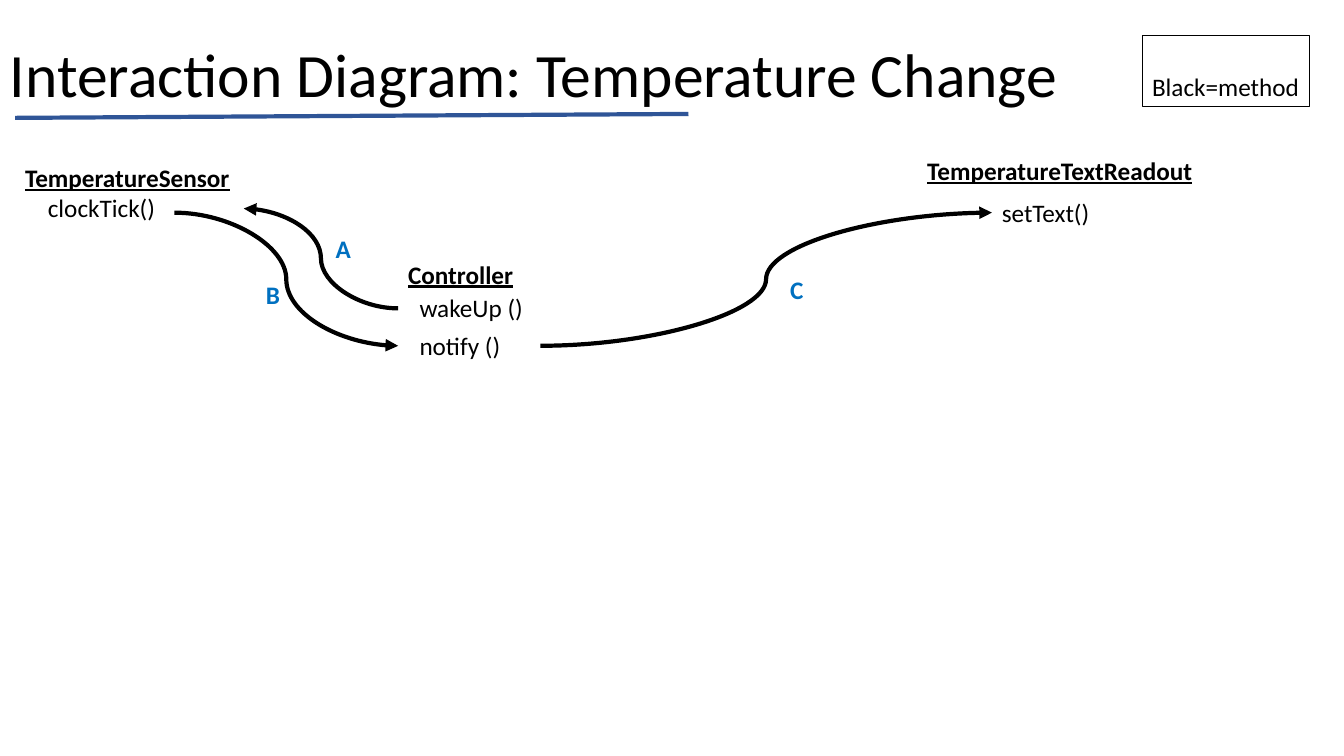
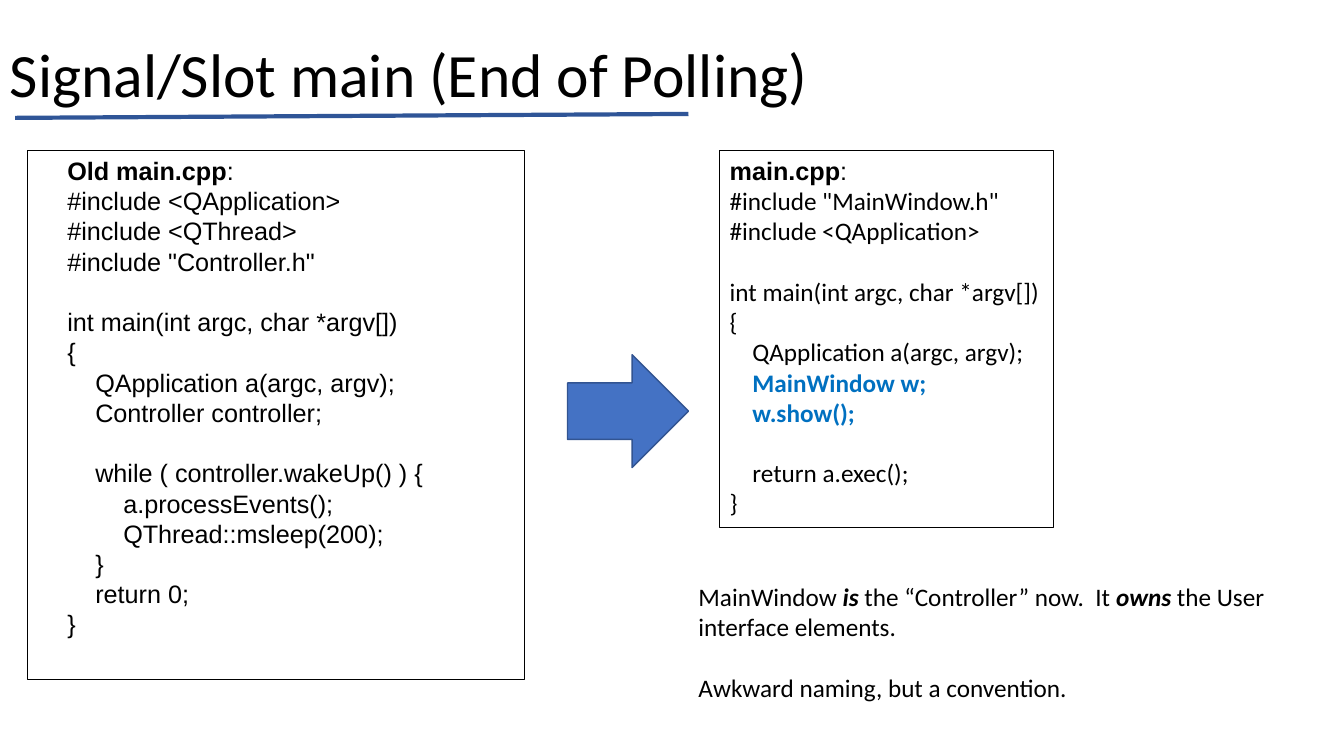
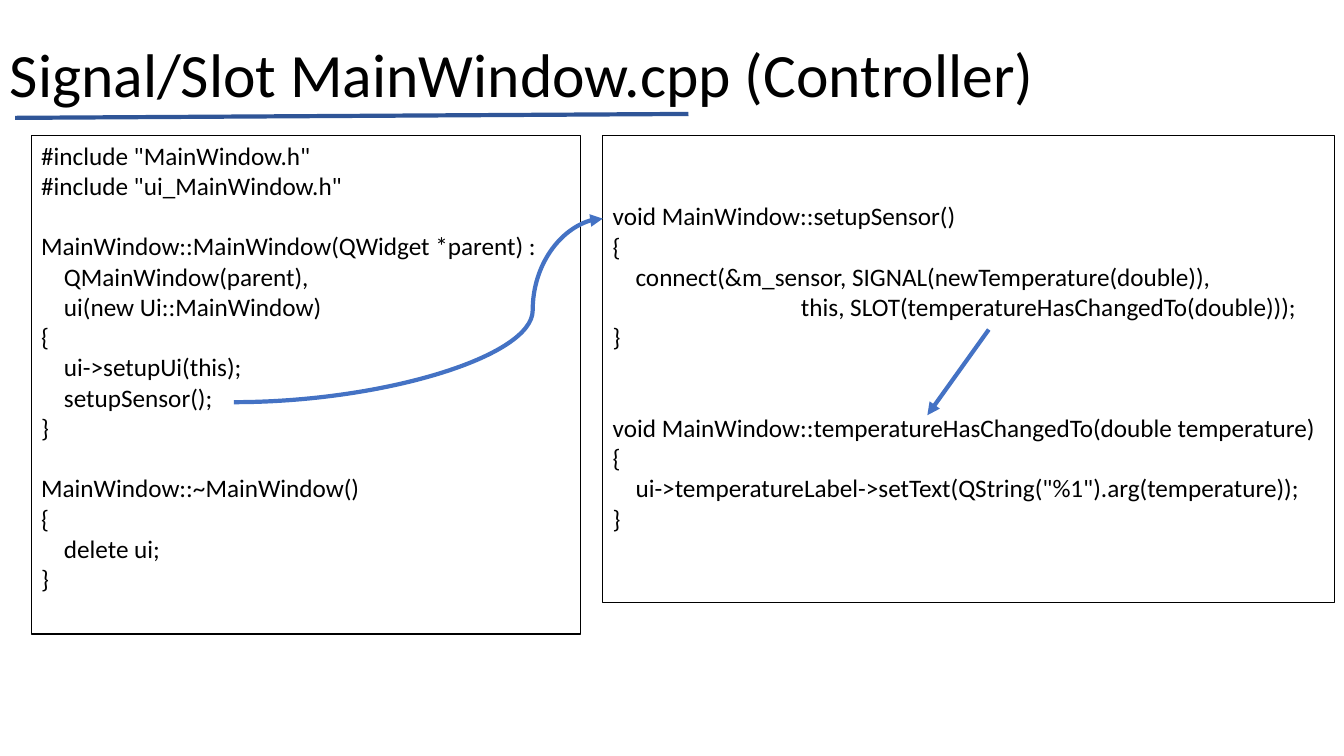
"""Builds three slides on moving a Qt program from polling to signals and slots."""

from dataclasses import dataclass

from lxml import etree
from pptx import Presentation
from pptx.dml.color import RGBColor
from pptx.enum.shapes import MSO_CONNECTOR, MSO_SHAPE
from pptx.enum.text import MSO_ANCHOR, PP_ALIGN
from pptx.oxml.ns import qn
from pptx.util import Pt

STRAIGHT = MSO_CONNECTOR.STRAIGHT
CURVE = MSO_CONNECTOR.CURVE
RECTANGLE = MSO_SHAPE.RECTANGLE
RIGHT_ARROW = MSO_SHAPE.RIGHT_ARROW
TOP, MIDDLE, BOTTOM = MSO_ANCHOR.TOP, MSO_ANCHOR.MIDDLE, MSO_ANCHOR.BOTTOM
LEFT = PP_ALIGN.LEFT


@dataclass(frozen=True)
class Theme:
    ink: str = "000000"
    highlight: str = "0070C0"
    rule: str = "2F5597"
    accent: str = "4472C4"
    accent_edge: str = "325491"
    font: str = "Calibri"
    old_font: str = "Arial"
    title_size: float = 44
    body_size: float = 18
    line_height: float = 21.6
    stroke: float = 3
    border: float = 0.75


THEME = Theme()


@dataclass(frozen=True)
class Run:
    text: str
    bold: bool = False
    italic: bool = False
    underline: bool = False
    color: str = THEME.ink
    font: str | None = None


@dataclass(frozen=True)
class Line:
    content: str | tuple[Run, ...]
    level: float = 0
    gap: int = 0


@dataclass(frozen=True)
class Panel:
    left: float
    top: float
    width: float
    height: float
    lines: tuple[Line, ...]
    bordered: bool = False
    font: str = THEME.font
    size: float = THEME.body_size
    step: float = 16.3
    margin: float = 0
    inset_top: float = 3.6
    spacing: float = Pt(THEME.line_height)
    anchor: MSO_ANCHOR = TOP


@dataclass(frozen=True)
class Link:
    start: tuple[float, float]
    end: tuple[float, float]
    kind: MSO_CONNECTOR = CURVE
    color: str = THEME.ink
    bend: float = 0.5
    arrow: bool = True


def heading(text: str) -> Line:
    return Line((Run(text, bold=True, underline=True),))


def marker(text: str, left: float, top: float) -> Panel:
    return Panel(left, top, 25.2, 28.8, (Line((Run(text, bold=True, color=THEME.highlight),)),))


def file_name(text: str) -> Line:
    return Line((Run(text, bold=True, font=THEME.old_font), Run(":", font=THEME.old_font)))


def new_code(text: str) -> Line:
    return Line((Run(text, bold=True, color=THEME.highlight),), 1)


def draw_panel(slide, panel: Panel) -> None:
    box = tuple(Pt(v) for v in (panel.left, panel.top, panel.width, panel.height))
    if panel.bordered:
        shape = slide.shapes.add_shape(RECTANGLE, *box)
        shape.shadow.inherit = False
        shape.fill.background()
        shape.line.color.rgb = RGBColor.from_string(THEME.ink)
        shape.line.width = Pt(THEME.border)
    else:
        shape = slide.shapes.add_textbox(*box)
    frame = shape.text_frame
    frame.word_wrap = True
    frame.vertical_anchor = panel.anchor
    frame.margin_top = Pt(panel.inset_top)
    for index, line in enumerate(panel.lines):
        paragraph = frame.add_paragraph() if index else frame.paragraphs[0]
        paragraph.alignment = LEFT
        paragraph.line_spacing = panel.spacing
        paragraph.space_before = Pt(line.gap * THEME.line_height)
        properties = paragraph._p.get_or_add_pPr()
        properties.set("marL", str(Pt(panel.margin + line.level * panel.step)))
        properties.set("indent", "0")
        runs = (Run(line.content),) if isinstance(line.content, str) else line.content
        for part in runs:
            run = paragraph.add_run()
            run.text = part.text
            run.font.name = part.font or panel.font
            run.font.size = Pt(panel.size)
            run.font.bold = part.bold
            run.font.italic = part.italic
            run.font.underline = part.underline
            run.font.color.rgb = RGBColor.from_string(part.color)


def draw_link(slide, link: Link) -> None:
    connector = slide.shapes.add_connector(link.kind, *(Pt(v) for v in link.start + link.end))
    connector.line.color.rgb = RGBColor.from_string(link.color)
    connector.line.width = Pt(THEME.stroke)
    properties = connector._element.spPr
    if link.arrow:
        etree.SubElement(connector.line._get_or_add_ln(), qn("a:tailEnd"), type="triangle")
    if link.kind == CURVE:
        adjustments = properties.find(qn("a:prstGeom")).find(qn("a:avLst"))
        etree.SubElement(adjustments, qn("a:gd"), name="adj1", fmla=f"val {round(link.bend * 100000)}")
    etree.SubElement(properties, qn("a:effectLst"))


def draw_block_arrow(slide, left: float, top: float, width: float, height: float) -> None:
    arrow = slide.shapes.add_shape(RIGHT_ARROW, Pt(left), Pt(top), Pt(width), Pt(height))
    arrow.shadow.inherit = False
    arrow.fill.solid()
    arrow.fill.fore_color.rgb = RGBColor.from_string(THEME.accent)
    arrow.line.color.rgb = RGBColor.from_string(THEME.accent_edge)
    arrow.line.width = Pt(1)


def add_slide(deck, title: str, panels: tuple[Panel, ...], links: tuple[Link, ...] = ()):
    slide = deck.slides.add_slide(deck.slide_layouts[6])
    draw_link(slide, Link((10.8, 84.2), (491.8, 81.4), STRAIGHT, THEME.rule, arrow=False))
    draw_panel(slide, Panel(0, 2.9, 838.8, 104.4, (Line(title),),
                            size=THEME.title_size, spacing=0.9, anchor=MIDDLE))
    for panel in panels:
        draw_panel(slide, panel)
    for link in links:
        draw_link(slide, link)
    return slide


INTERACTION = (
    Panel(10.8, 112.3, 163.4, 72.7, (heading("TemperatureSensor"), Line("clockTick()", 1))),
    Panel(284.4, 181.4, 94.3, 28.8, (heading("Controller"),)),
    Panel(284.4, 205.2, 101.5, 28.8, (Line("wakeUp ()", 0.5),)),
    Panel(284.4, 232.6, 101.5, 28.8, (Line("notify ()", 0.5),)),
    Panel(655.2, 107.3, 215.3, 28.8, (heading("TemperatureTextReadout"),)),
    Panel(708.5, 137.5, 176.4, 28.8, (Line("setText()"),)),
    marker("A", 232.6, 163.4),
    marker("B", 182.9, 195.8),
    marker("C", 557.3, 192.2),
    Panel(815.8, 25.2, 119.5, 51.1, (Line("Black=method"),), bordered=True, anchor=BOTTOM),
)

CALLS = (
    Link((284.4, 220.3), (174.2, 149)),
    Link((124.6, 151.9), (284.4, 247)),
    Link((385.9, 247), (708.5, 151.9)),
)

OLD_MAIN = (
    file_name("Old main.cpp"),
    Line("#include <QApplication>"),
    Line("#include <QThread>"),
    Line('#include "Controller.h"'),
    Line("int main(int argc, char *argv[])", gap=1),
    Line("{"),
    Line("QApplication a(argc, argv);", 1),
    Line("Controller controller;", 1),
    Line("while ( controller.wakeUp() ) {", 1, gap=1),
    Line("a.processEvents();", 2),
    Line("QThread::msleep(200);", 2),
    Line("}", 1),
    Line("return 0;", 1),
    Line("}"),
)

NEW_MAIN = (
    file_name("main.cpp"),
    Line('#include "MainWindow.h"'),
    Line("#include <QApplication>"),
    Line("int main(int argc, char *argv[])", gap=1),
    Line("{"),
    Line("QApplication a(argc, argv);", 1),
    new_code("MainWindow w;"),
    new_code("w.show();"),
    Line("return a.exec();", 1, gap=1),
    Line("}"),
)

OWNERSHIP = (
    Line((
        Run("MainWindow "),
        Run("is", bold=True, italic=True),
        Run(" the “Controller” now.  It "),
        Run("owns", bold=True, italic=True),
        Run(" the User interface elements."),
    )),
    Line("Awkward naming, but a convention.", gap=1),
)

MAINS = (
    Panel(514.1, 107.3, 238.3, 269.3, NEW_MAIN, bordered=True),
    Panel(19.4, 107.3, 355, 378, OLD_MAIN, bordered=True,
          font=THEME.old_font, step=20, margin=21.6),
    Panel(491.8, 411.8, 418.3, 94.3, OWNERSHIP),
)

CONSTRUCTOR = (
    Line('#include "MainWindow.h"'),
    Line('#include "ui_MainWindow.h"'),
    Line("MainWindow::MainWindow(QWidget *parent) :", gap=1),
    Line("QMainWindow(parent),", 1),
    Line("ui(new Ui::MainWindow)", 1),
    Line("{"),
    Line("ui->setupUi(this);", 1),
    Line("setupSensor();", 1),
    Line("}"),
    Line("MainWindow::~MainWindow()", gap=1),
    Line("{"),
    Line("delete ui;", 1),
    Line("}"),
)

SLOTS = (
    Line("void MainWindow::setupSensor()"),
    Line("{"),
    Line("connect(&m_sensor, SIGNAL(newTemperature(double)),", 1),
    Line("this, SLOT(temperatureHasChangedTo(double)));", 8.25),
    Line("}"),
    Line("void MainWindow::temperatureHasChangedTo(double temperature)", gap=2),
    Line("{"),
    Line('ui->temperatureLabel->setText(QString("%1").arg(temperature));', 1),
    Line("}"),
)

CONTROLLER = (
    Panel(22.3, 96.5, 392.4, 356.4, CONSTRUCTOR, bordered=True),
    Panel(430.6, 96.5, 522.7, 334.1, SLOTS, bordered=True,
          inset_top=3.6 + 2 * THEME.line_height),
)

WIRING = (
    Link((167, 287.3), (430.6, 156.2), color=THEME.accent, bend=0.81),
    Link((706.3, 235.4), (662.4, 296.6), STRAIGHT, THEME.accent),
)


def main() -> None:
    deck = Presentation()
    deck.slide_width, deck.slide_height = Pt(960), Pt(540)
    add_slide(deck, "Interaction Diagram: Temperature Change", INTERACTION, CALLS)
    polling = add_slide(deck, "Signal/Slot main (End of Polling)", MAINS)
    draw_block_arrow(polling, 405.4, 253.4, 86.4, 80.6)
    add_slide(deck, "Signal/Slot MainWindow.cpp (Controller)", CONTROLLER, WIRING)
    deck.save("out.pptx")


if __name__ == "__main__":
    main()
